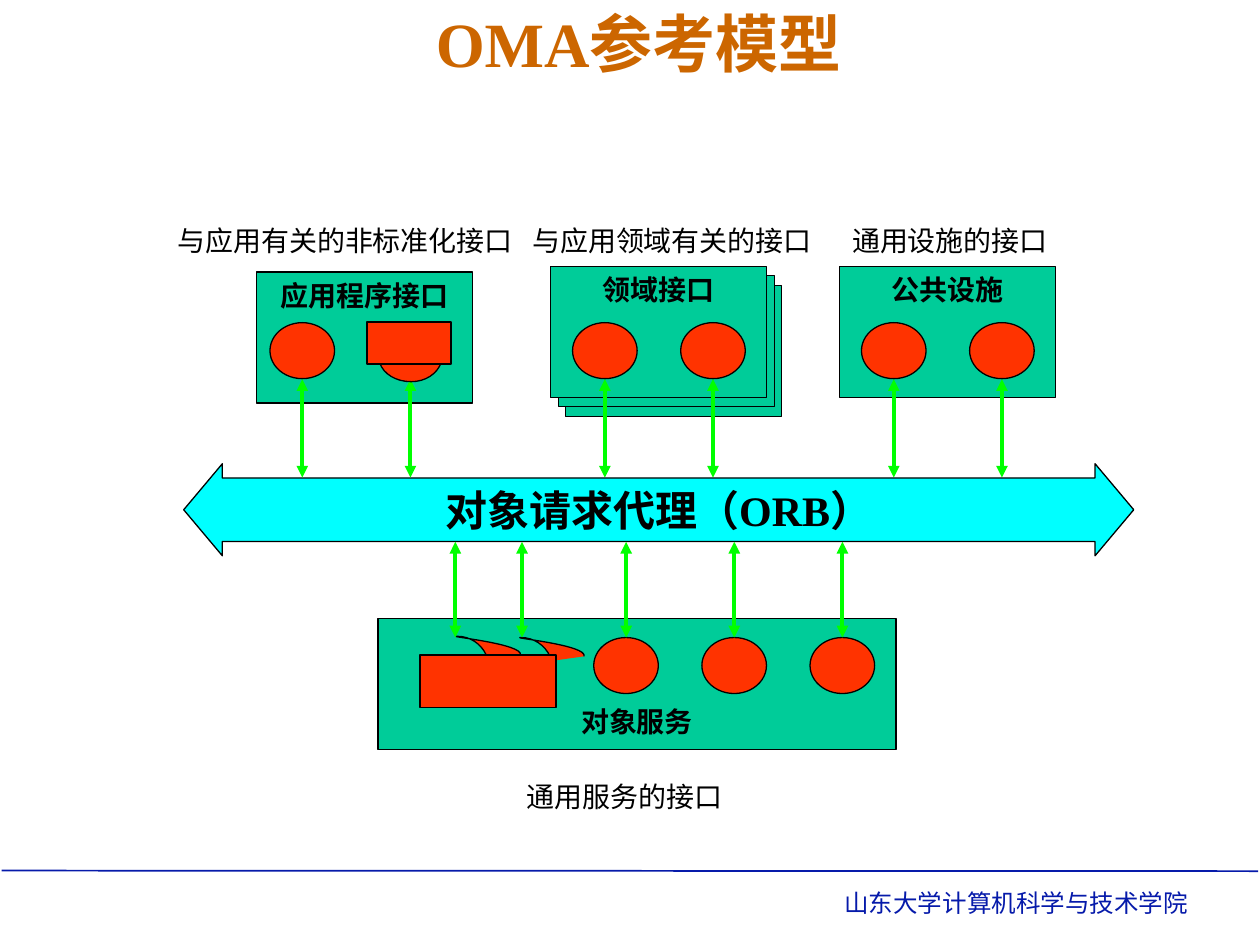
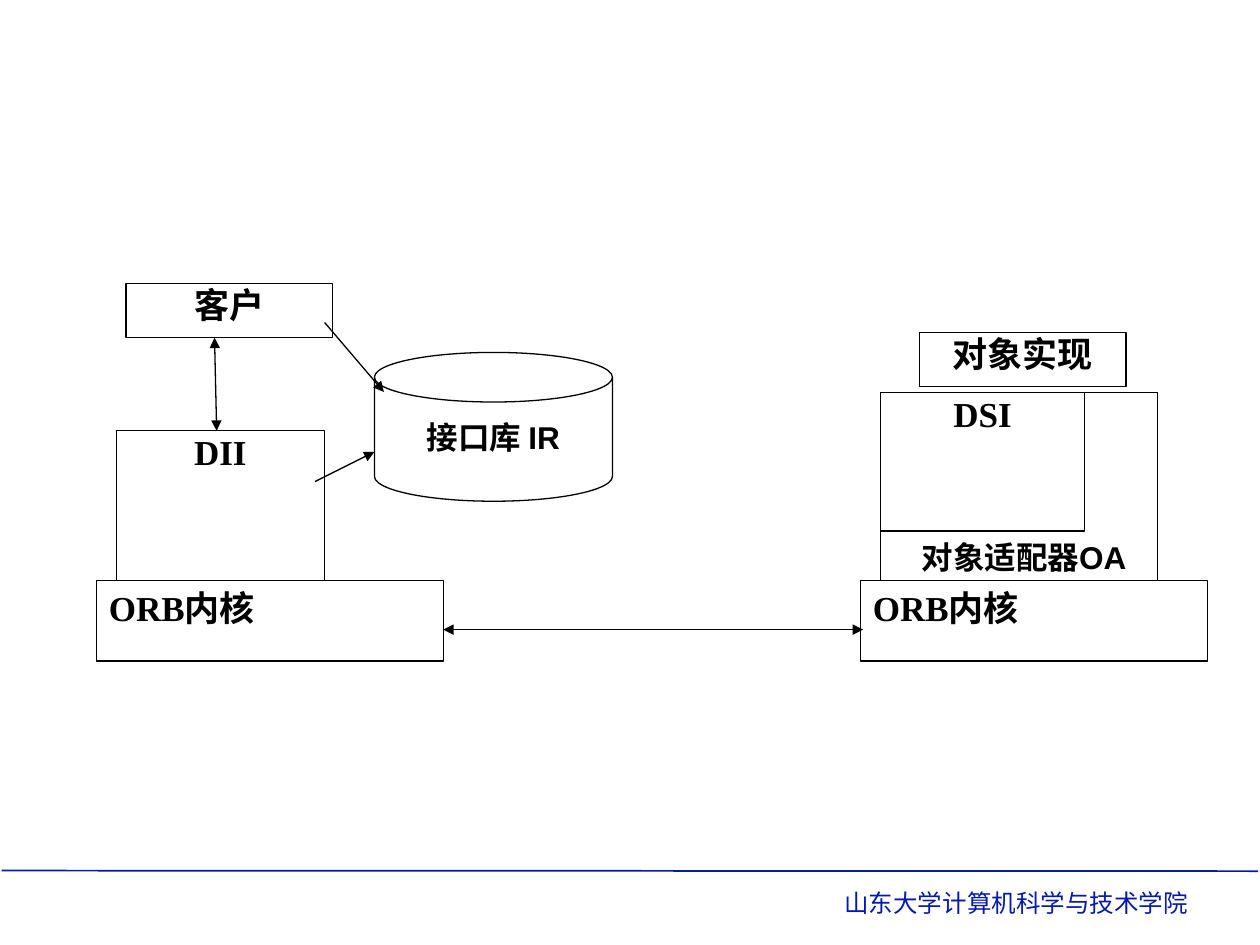
import dataclasses

import lxml.etree
import pptx
import pptx.dml.color
import pptx.enum.shapes
import pptx.enum.text
import pptx.oxml.ns
import pptx.util

Pt = pptx.util.Pt
SHAPE = pptx.enum.shapes.MSO_SHAPE
ALIGN = pptx.enum.text.PP_ALIGN
ANCHOR = pptx.enum.text.MSO_ANCHOR
qn = pptx.oxml.ns.qn


@dataclasses.dataclass(frozen=True)
class Theme:
    ink: str = "000000"
    paper: str = "FFFFFF"
    title: str = "CC6600"
    footer: str = "061AAA"
    facility: str = "00CC99"
    component: str = "FF3300"
    broker: str = "00FFFF"
    call: str = "00FF00"
    serif: str = "Times New Roman"
    sans: str = "Arial"
    title_size: float = 36
    broker_size: float = 24
    node_size: float = 20
    note_size: float = 18
    label_size: float = 16
    footer_size: float = 14
    thin: float = 0.75
    rule: float = 1
    thick: float = 2.25


THEME = Theme()
INSETS = (7.2, 3.6, 7.2, 3.6)
DISC_W, DISC_H, DISC_PITCH = 36.9, 32, 61.8
FACILITY_W, FACILITY_H = 123.4, 74.8


def rgb(colour):
    return pptx.dml.color.RGBColor.from_string(colour)


def write(shape, text, size, font=THEME.serif, colour=THEME.ink, bold=True,
          align=ALIGN.CENTER, anchor=ANCHOR.TOP, insets=INSETS, wrap=True, before=0):
    frame = shape.text_frame
    frame.word_wrap = wrap
    frame.vertical_anchor = anchor
    (frame.margin_left, frame.margin_top,
     frame.margin_right, frame.margin_bottom) = map(Pt, insets)
    paragraph = frame.paragraphs[0]
    paragraph.alignment = align
    paragraph.space_before = Pt(before)
    run = paragraph.add_run()
    run.text = text
    run.font.name = font
    run.font.size = Pt(size)
    run.font.bold = bold
    run.font.color.rgb = rgb(colour)


def paint(shape, fill, width=THEME.thin):
    shape.shadow.inherit = False
    if fill:
        shape.fill.solid()
        shape.fill.fore_color.rgb = rgb(fill)
    else:
        shape.fill.background()
    shape.line.color.rgb = rgb(THEME.ink)
    shape.line.width = Pt(width)


def add_figure(slide, kind, box, fill=None, width=THEME.thin):
    figure = slide.shapes.add_shape(kind, *map(Pt, box))
    paint(figure, fill, width)
    return figure


def add_label(slide, box, text, size, **style):
    write(slide.shapes.add_textbox(*map(Pt, box)), text, size, **style)


def add_line(slide, start, end, colour, width, head=False, tail=False):
    line = slide.shapes.add_connector(
        pptx.enum.shapes.MSO_CONNECTOR.STRAIGHT, *map(Pt, (*start, *end)))
    line.line.color.rgb = rgb(colour)
    line.line.width = Pt(width)
    outline = line.line._get_or_add_ln()
    for shown, tag in ((head, "a:headEnd"), (tail, "a:tailEnd")):
        if shown:
            lxml.etree.SubElement(outline, qn(tag), type="triangle")
    lxml.etree.SubElement(line._element.spPr, qn("a:effectLst"))


def add_call(slide, x, top, bottom):
    add_line(slide, (x, top), (x, bottom), THEME.call, THEME.thick, head=True, tail=True)


def add_sector(slide, box, arc, apex, rotation=0):
    """Draw a filled sector of two Bezier curves whose curved edge alone is outlined."""
    left, top, width, height = map(Pt, box)
    builder = slide.shapes.build_freeform(left, top, scale=1.0)
    builder.add_line_segments([(left + width, top), (left + width, top + height),
                               (left, top + height)])
    sector = builder.convert_to_shape()
    paint(sector, THEME.component)
    sector.rotation = rotation

    # Replace the frame by the curved edge and the closed area
    outlines = sector._element.spPr.find(".//" + qn("a:pathLst"))
    outlines.clear()
    edge = [("a:moveTo", arc[:1]), ("a:cubicBezTo", arc[1:4]), ("a:cubicBezTo", arc[4:])]
    area = [*edge, ("a:lnTo", [apex]), ("a:lnTo", arc[:1]), ("a:close", [])]
    for steps, style in ((edge, {"fill": "none"}), (area, {"stroke": "0"})):
        outline = lxml.etree.SubElement(outlines, qn("a:path"), w=str(width),
                                        h=str(height), **style)
        for tag, points in steps:
            step = lxml.etree.SubElement(outline, qn(tag))
            for x, y in points:
                lxml.etree.SubElement(step, qn("a:pt"), x=str(Pt(x)), y=str(Pt(y)))


def add_discs(slide, left, top, count):
    for i in range(count):
        add_figure(slide, SHAPE.OVAL, (left + i * DISC_PITCH, top, DISC_W, DISC_H),
                   THEME.component)


def add_caption(slide, centre, top, text, width=180):
    add_label(slide, (centre - width / 2, top, width, 18), text, THEME.label_size,
              bold=False, anchor=ANCHOR.MIDDLE, wrap=False)


def footer(slide):
    add_line(slide, (1, 497.5), (719, 497.8), THEME.footer, THEME.rule)
    add_label(slide, (22.3, 504, 663.8, 24.5), "山东大学计算机科学与技术学院",
              THEME.footer_size, font=THEME.sans, colour=THEME.footer, bold=False,
              align=ALIGN.RIGHT, before=8.8)


def title(slide, text):
    add_label(slide, (28.4, 9, 673.2, 30.2), text, THEME.title_size,
              colour=THEME.title, anchor=ANCHOR.MIDDLE)


def facility(slide, left, top, name, caption, caption_shift, disc_left=12.6,
             discs=2, sheets=(), caption_width=180):
    # Sheets behind, then the front panel with its components and calls
    for dx, dy in (*sheets, (0, 0)):
        panel = add_figure(slide, SHAPE.RECTANGLE,
                           (left + dx, top + dy, FACILITY_W, FACILITY_H), THEME.facility)
    write(panel, name, THEME.label_size)
    add_discs(slide, left + disc_left, 184.4, discs)
    for i in range(2):
        add_call(slide, left + disc_left + DISC_W / 2 + i * DISC_PITCH, 216.7, 272.9)
    add_caption(slide, left + FACILITY_W / 2 + caption_shift, 128.2, caption,
                caption_width)


def application_cover(slide, left, top):
    # Lower part of the second component, covered by a block
    add_sector(slide, (left + 70.5, top + 46.8, 35.3, 15.8),
               [(35.3, 4.3), (33.1, 11.5), (25.9, 15.8), (18, 15.8),
                (9.4, 15.8), (2.2, 11.5), (0, 5.1)], (18, 0))
    add_figure(slide, SHAPE.RECTANGLE, (left + 63.3, top + 28.5, 48.2, 23.9),
               THEME.component, THEME.rule)


def broker(slide, box):
    bus = add_figure(slide, SHAPE.LEFT_RIGHT_ARROW, box, THEME.broker)
    bus.adjustments[0], bus.adjustments[1] = 0.69, 0.42
    write(bus, "对象请求代理（ORB）", THEME.broker_size)


def services(slide, left, top, width):
    panel = add_figure(slide, SHAPE.RECTANGLE, (left, top, width, FACILITY_H),
                       THEME.facility)
    write(panel, "对象服务", THEME.label_size, insets=(7.2, 49, 7.2, 3.6))
    add_discs(slide, left + 123.3, top + 10.8, 3)
    # Partly covered components
    for dx, dy in ((0, 0), (36.4, 0.7)):
        add_sector(slide, (left + 29.5 + dx, top + 10.1 + dy, 32.4, 15.8),
                   [(-19.5, 5), (-21.6, 11.5), (23.7, 15.8), (16.5, 15.8),
                    (9.3, 15.8), (2.9, 11.5), (0, 5)], (16.5, 0), rotation=179.9)
    for x in (44.2, 82.3, *(141.8 + i * DISC_PITCH for i in range(3))):
        add_call(slide, left + x, top - 43.9, top + 10.8)
    add_figure(slide, SHAPE.RECTANGLE, (left + 23.8, top + 20.8, 77.8, 30),
               THEME.component, THEME.rule)
    add_caption(slide, left + 140.8, top + 92.4, "通用服务的接口", 162)


def reference_model(slide):
    footer(slide)
    title(slide, "OMA参考模型")
    facility(slide, 479.7, 152.3, "公共设施", "通用设施的接口", 1.4, caption_width=162)
    facility(slide, 314.6, 152.3, "领域接口", "与应用领域有关的接口", 7.7,
             sheets=((8.6, 10.8), (4.4, 5.2)))
    broker(slide, (105, 265, 542.9, 52.6))
    facility(slide, 146.5, 155.5, "应用程序接口", "与应用有关的非标准化接口", -10.9,
             disc_left=7.8, discs=1, caption_width=220)
    application_cover(slide, 146.5, 155.5)
    services(slide, 216, 353.5, 296.1)


def node(slide, box, name):
    write(add_figure(slide, SHAPE.RECTANGLE, box, THEME.paper), name,
          THEME.node_size, insets=(0, 0, 0, 0))


def orb_core(slide, left, top):
    core = add_figure(slide, SHAPE.RECTANGLE, (left, top, 198.4, 46.2), THEME.paper)
    write(core, "ORB内核", THEME.node_size, align=ALIGN.LEFT)


def note(slide, box, text):
    add_label(slide, box, text, THEME.note_size, font=THEME.sans, before=11.2)


def client_side(slide, left, top):
    node(slide, (left + 16.9, top, 118, 31), "客户")
    node(slide, (left + 11.4, top + 84.2, 118.8, 85.6), "DII")
    orb_core(slide, left, top + 169.6)


def server_side(slide, left, top):
    node(slide, (left + 33.8, top, 118, 31), "对象实现")
    node(slide, (left + 11.5, top + 34.2, 116.5, 79.2), "DSI")
    # Object adapter around the DSI
    note(slide, (left + 22.6, top + 113.7, 141.8, 28.8), "对象适配器OA")
    add_figure(slide, SHAPE.RECTANGLE, (left + 11.5, top + 34.2, 158.4, 107.4))
    orb_core(slide, left, top + 141.5)


def interface_repository(slide, left, top):
    add_figure(slide, SHAPE.FLOWCHART_MAGNETIC_DISK, (left, top, 136, 85))
    note(slide, (left + 5.6, top + 34, 124.6, 28.8), "接口库 IR")


def dynamic_invocation(slide):
    footer(slide)
    client_side(slide, 55.1, 162)
    server_side(slide, 491.7, 190.1)
    interface_repository(slide, 214, 201.4)
    # Links between the parts
    for start, end, both in (((122.6, 193), (123.8, 246.2), True),
                             ((253.2, 359.8), (493.2, 359.8), True),
                             ((185.5, 184.3), (219.4, 224), False),
                             ((180, 275.2), (214, 258.2), False)):
        add_line(slide, start, end, THEME.ink, THEME.thin, head=both, tail=True)


def main():
    deck = pptx.Presentation()
    deck.slide_width, deck.slide_height = Pt(720), Pt(540)
    for build in (reference_model, dynamic_invocation):
        build(deck.slides.add_slide(deck.slide_layouts[6]))
    deck.save("out.pptx")


if __name__ == "__main__":
    main()
